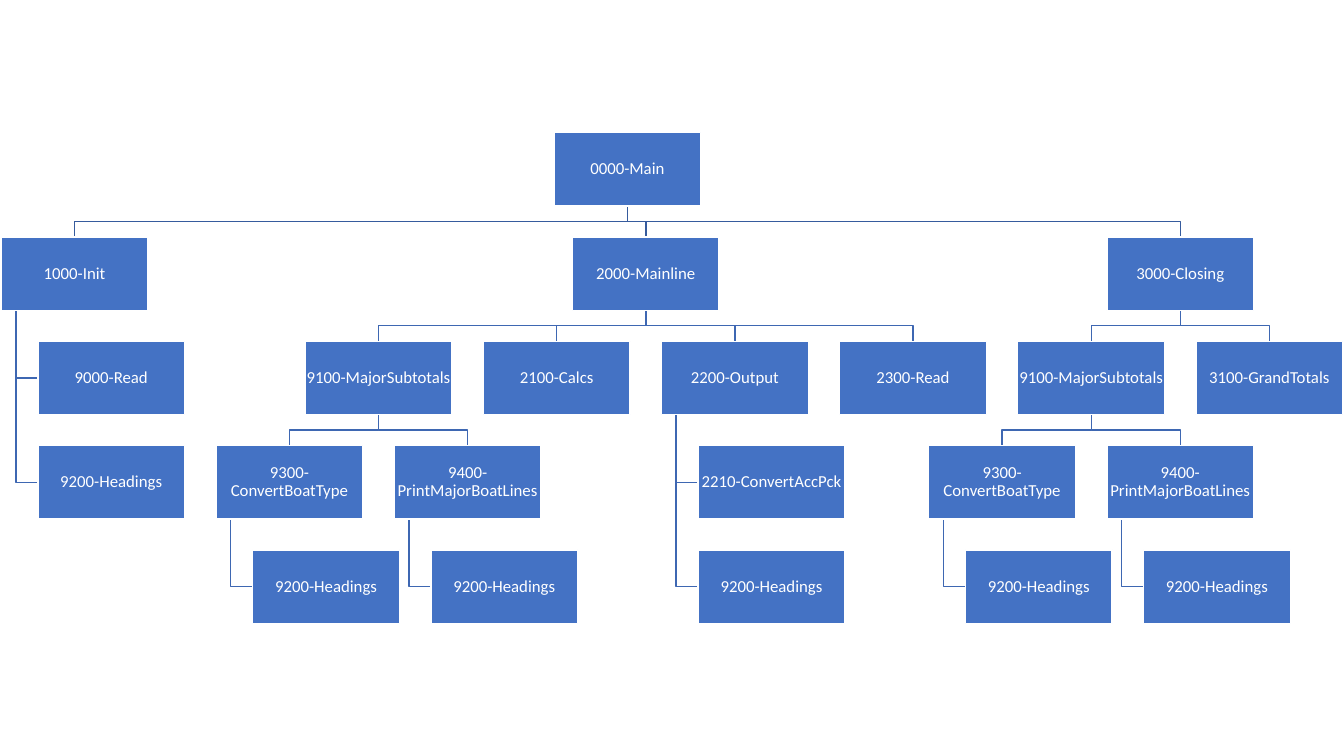
import dataclasses

import pptx
import pptx.dml.color
import pptx.enum.shapes
import pptx.enum.text
import pptx.util

Cm = pptx.util.Cm
Pt = pptx.util.Pt
RGBColor = pptx.dml.color.RGBColor

# Content: (module name, called modules)
HEADINGS = ("9200-Headings", [])
SUBTOTALS = ("9100-MajorSubtotals", [
    ("9300-ConvertBoatType", [HEADINGS]),
    ("9400-PrintMajorBoatLines", [HEADINGS]),
])
PROGRAM = ("0000-Main", [
    ("1000-Init", [("9000-Read", []), HEADINGS]),
    ("2000-Mainline", [
        SUBTOTALS,
        ("2100-Calcs", []),
        ("2200-Output", [("2210-ConvertAccPck", []), HEADINGS]),
        ("2300-Read", []),
    ]),
    ("3000-Closing", [SUBTOTALS, ("3100-GrandTotals", [])]),
])
# Modules whose calls hang in a column below them instead of spreading out
HANGING = {"1000-Init", "2200-Output", "9300-ConvertBoatType", "9400-PrintMajorBoatLines"}

# Look
BOX_BLUE = RGBColor(0x44, 0x72, 0xC4)
ROOT_LINE_BLUE = RGBColor(0x36, 0x5B, 0x9D)
LINE_BLUE = RGBColor(0x3E, 0x67, 0xB2)
WHITE = RGBColor(0xFF, 0xFF, 0xFF)
FONT = "Calibri"

# Measures in centimetres
BOX_WIDTH, BOX_HEIGHT = 3.70, 1.85
COLUMN_GAP, ROW_GAP = 0.79, 0.78
CHART_LEFT, CHART_TOP = 0.03, 3.34
HANGING_INDENT = BOX_WIDTH / 4
STEM_INDENT = BOX_WIDTH / 10
INSET = 0.02


@dataclasses.dataclass
class Module:
    name: str
    row: int
    calls: list
    left: float = 0

    @property
    def top(self):
        return CHART_TOP + self.row * (BOX_HEIGHT + ROW_GAP)

    @property
    def center(self):
        return self.left + BOX_WIDTH / 2

    def everything(self):
        yield self
        for call in self.calls:
            yield from call.everything()


# Layout: each module goes as far left as its row allows, parents centre over their calls
next_left = {}


def place(entry, row=0):
    name, calls = entry
    free_left = next_left.get(row, CHART_LEFT)
    if name in HANGING or not calls:
        module = Module(name, row, [], free_left)
        for step, (call_name, _) in enumerate(calls, 1):
            module.calls.append(Module(call_name, row + step, [], free_left + HANGING_INDENT))
    else:
        module = Module(name, row, [place(call, row + 1) for call in calls])
        middle = (module.calls[0].center + module.calls[-1].center) / 2
        module.left = middle - BOX_WIDTH / 2
        shift = max(0, free_left - module.left)
        for part in module.everything():
            part.left += shift
    for part in module.everything():
        next_left[part.row] = max(next_left.get(part.row, 0), part.left + BOX_WIDTH + COLUMN_GAP)
    return module


def connecting_points(parent, call):
    bottom = parent.top + BOX_HEIGHT
    if parent.name in HANGING:
        stem = parent.left + STEM_INDENT
        middle = call.top + BOX_HEIGHT / 2
        return [(stem, bottom), (stem, middle), (call.left, middle)]
    bend = bottom + ROW_GAP / 2
    return [(parent.center, bottom), (parent.center, bend),
            (call.center, bend), (call.center, call.top)]


def draw_line(slide, parent, call):
    start, *others = [(Cm(x), Cm(y)) for x, y in connecting_points(parent, call)]
    builder = slide.shapes.build_freeform(*start)
    builder.add_line_segments(others, close=False)
    shape = builder.convert_to_shape()
    shape.shadow.inherit = False
    shape.fill.background()
    shape.line.color.rgb = LINE_BLUE if parent.row else ROOT_LINE_BLUE
    shape.line.width = Pt(1)


def draw_box(slide, module):
    shape = slide.shapes.add_shape(
        pptx.enum.shapes.MSO_SHAPE.RECTANGLE,
        Cm(module.left), Cm(module.top), Cm(BOX_WIDTH), Cm(BOX_HEIGHT))
    shape.shadow.inherit = False
    shape.fill.solid()
    shape.fill.fore_color.rgb = BOX_BLUE
    shape.line.color.rgb = WHITE
    shape.line.width = Pt(1)
    frame = shape.text_frame
    frame.word_wrap = True
    frame.vertical_anchor = pptx.enum.text.MSO_ANCHOR.MIDDLE
    frame.margin_left = frame.margin_right = Cm(INSET)
    frame.margin_top = frame.margin_bottom = Cm(INSET)
    paragraph = frame.paragraphs[0]
    paragraph.alignment = pptx.enum.text.PP_ALIGN.CENTER
    paragraph.line_spacing = 0.9
    run = paragraph.add_run()
    run.text = module.name
    run.font.name = FONT
    run.font.size = Pt(12)
    run.font.color.rgb = WHITE


presentation = pptx.Presentation()
presentation.slide_width = Cm(33.87)
presentation.slide_height = Cm(19.05)
slide = presentation.slides.add_slide(presentation.slide_layouts[6])

# Lines behind, boxes in front
modules = list(place(PROGRAM).everything())
for module in modules:
    for call in module.calls:
        draw_line(slide, module, call)
for module in modules:
    draw_box(slide, module)

presentation.save("out.pptx")
